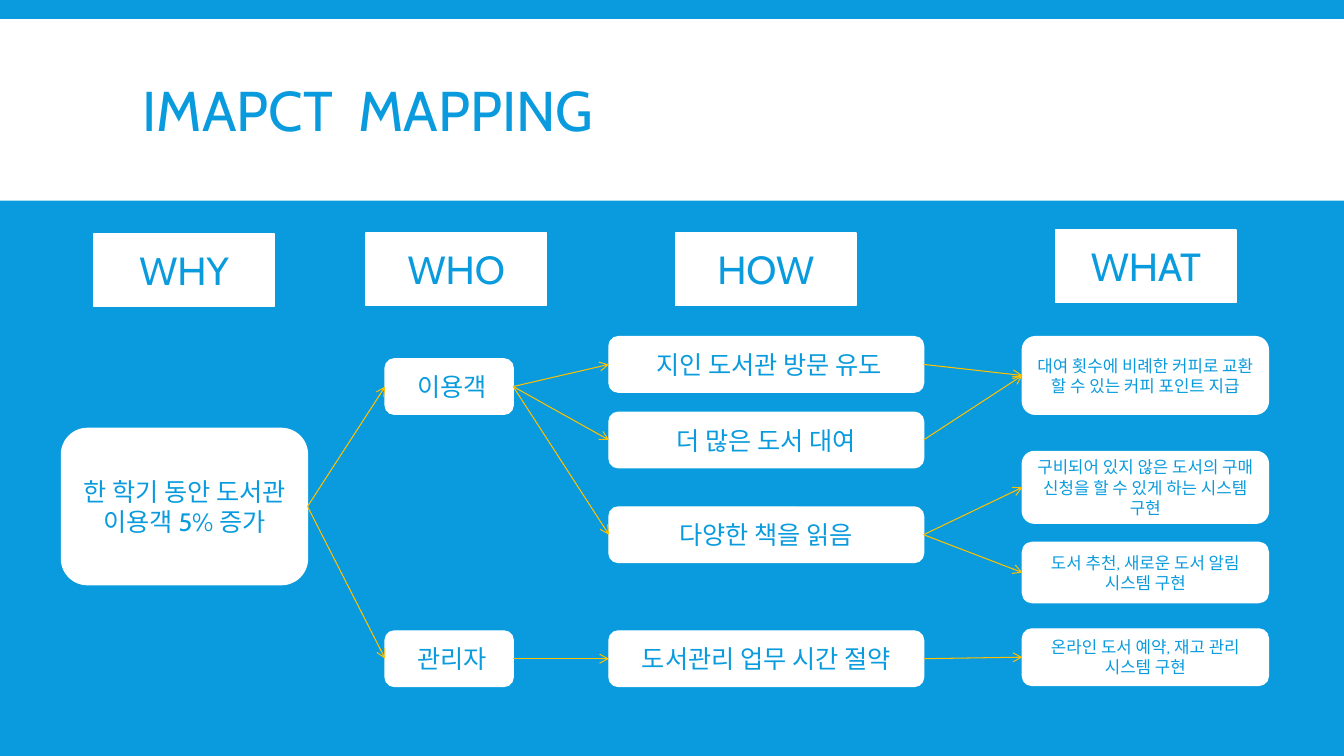
from pptx import Presentation
from pptx.dml.color import RGBColor
from pptx.enum.shapes import MSO_CONNECTOR as Connector, MSO_SHAPE as Shape
from pptx.enum.text import MSO_ANCHOR as Anchor, PP_ALIGN as Align
from pptx.oxml.ns import qn
from pptx.util import Inches, Pt
from lxml.etree import SubElement

COLORS = {"blue": "099BDD", "white": "FFFFFF", "arrow": "FFC000"}
LEFT_SITE, RIGHT_SITE = 1, 3


def color(name):
    return RGBColor.from_string(COLORS[name])


class ImpactMap:
    font = "Cabin"

    def __init__(self, deck):
        self.page = deck.slides.add_slide(deck.slide_layouts[6])
        fill = self.page.background.fill
        fill.solid()
        fill.fore_color.rgb = color("blue")

    def add_text(self, shape, text, size, align):
        frame = shape.text_frame
        frame.word_wrap = True
        frame.vertical_anchor = Anchor.MIDDLE
        para = frame.paragraphs[0]
        para.alignment = align
        span = para.add_run()
        span.text = text
        span.font.name = self.font
        span.font.size = Pt(size)
        span.font.color.rgb = color("blue")
        return para

    def panel(self, kind, left, top, width, height):
        """Add a plain white shape."""
        shape = self.page.shapes.add_shape(
            kind, Inches(left), Inches(top), Inches(width), Inches(height))
        shape.shadow.inherit = False
        shape.fill.solid()
        shape.fill.fore_color.rgb = color("white")
        shape.line.fill.background()
        return shape

    def title(self, text):
        box = self.page.shapes.add_textbox(
            Inches(1.32), Inches(0.31), Inches(10.7), Inches(1.65))
        self.add_text(box, text, 40, Align.LEFT).line_spacing = 0.85

    def card(self, kind, text, size, *bounds):
        """Add a white outlined shape with centred text."""
        shape = self.panel(kind, *bounds)
        shape.line.color.rgb = color("white")
        shape.line.width = Pt(1)
        self.add_text(shape, text, size, Align.CENTER)
        return shape

    def arrow(self, source, target):
        link = self.page.shapes.add_connector(Connector.STRAIGHT, 0, 0, 0, 0)
        link.begin_connect(source, RIGHT_SITE)
        link.end_connect(target, LEFT_SITE)
        link.line.color.rgb = color("arrow")
        link.line.width = Pt(0.75)
        SubElement(link.get_or_add_ln(), qn("a:tailEnd"), type="arrow")
        SubElement(link.element.spPr, qn("a:effectLst"))


HEADINGS = [("WHY", 0.93, 2.32), ("WHO", 3.63, 2.31),
            ("HOW", 6.7, 2.31), ("WHAT", 10.47, 2.28)]

# Each column: left, width, text size, then cards as key: (text, top, height)
COLUMNS = [
    (0.61, 2.44, 18, {"goal": ("한 학기 동안 도서관 이용객 5% 증가", 4.25, 1.55)}),
    (3.82, 1.27, 18, {
        "visitor": (" 이용객", 3.56, 0.55),
        "manager": (" 관리자", 6.26, 0.55)}),
    (6.04, 3.12, 18, {
        "invite": (" 지인 도서관 방문 유도", 3.34, 0.55),
        "borrow": ("더 많은 도서 대여", 4.09, 0.55),
        "variety": ("다양한 책을 읽음", 5.03, 0.55),
        "save time": ("도서관리 업무 시간 절약", 6.26, 0.55)}),
    (10.14, 2.44, 12, {
        "points": ("대여 횟수에 비례한 커피로 교환 할 수 있는 커피 포인트 지급", 3.34, 0.77),
        "request": ("구비되어 있지 않은 도서의 구매 신청을 할 수 있게 하는 시스템 구현", 4.48, 0.71),
        "suggest": ("도서 추천, 새로운 도서 알림 시스템 구현", 5.38, 0.6),
        "reserve": ("온라인 도서 예약, 재고 관리 시스템 구현", 6.24, 0.56)}),
]

LINKS = {
    "goal": ["visitor", "manager"],
    "visitor": ["invite", "borrow", "variety"],
    "manager": ["save time"],
    "invite": ["points"],
    "borrow": ["points"],
    "variety": ["request", "suggest"],
    "save time": ["reserve"],
}


def main():
    deck = Presentation()
    deck.slide_width, deck.slide_height = Inches(13.33), Inches(7.5)
    impact = ImpactMap(deck)
    impact.panel(Shape.RECTANGLE, 0, 0.19, 13.33, 1.8)
    impact.title("IMAPCT  MAPPING")
    for text, left, top in HEADINGS:
        impact.card(Shape.RECTANGLE, text, 28, left, top, 1.79, 0.72)
    cards = {}
    for left, width, size, entries in COLUMNS:
        for key, (text, top, height) in entries.items():
            cards[key] = impact.card(
                Shape.ROUNDED_RECTANGLE, text, size, left, top, width, height)
    for source, targets in LINKS.items():
        for target in targets:
            impact.arrow(cards[source], cards[target])
    deck.save("out.pptx")


if __name__ == "__main__":
    main()
